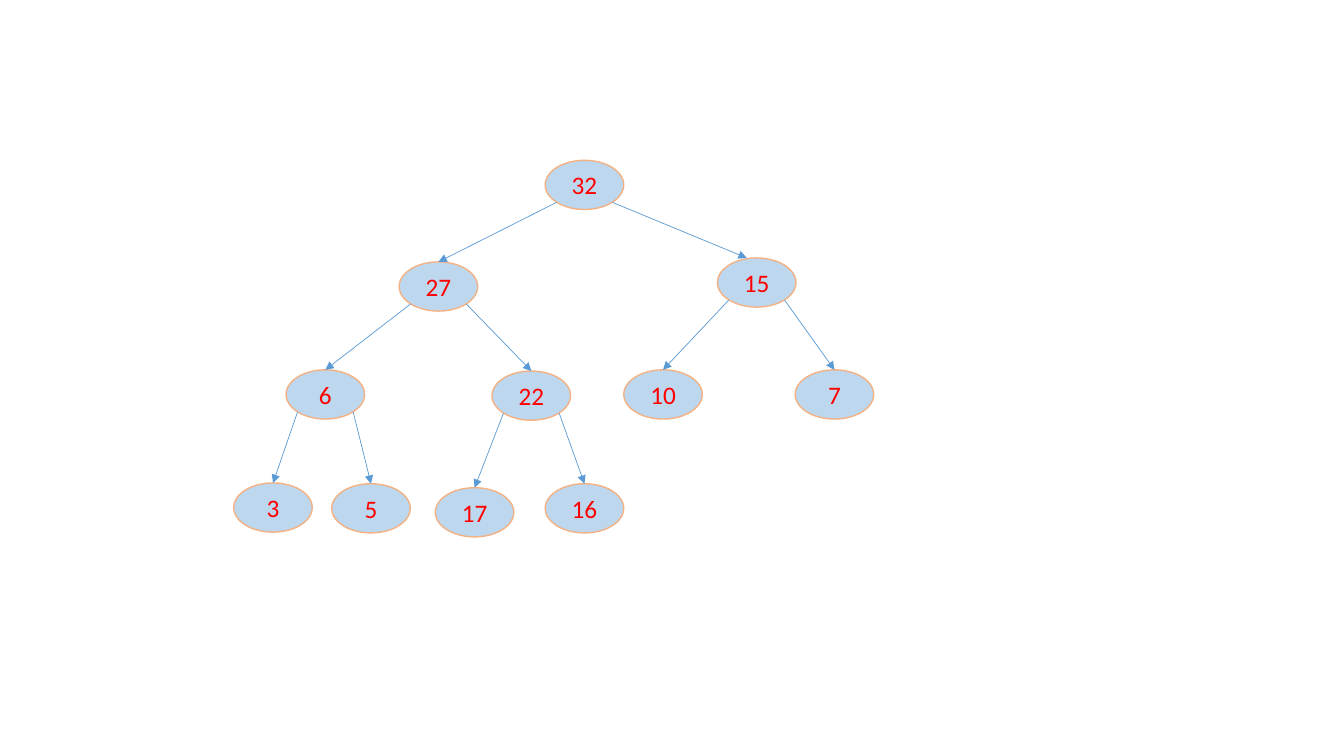
from math import sqrt

from lxml.etree import SubElement
from pptx import Presentation
from pptx.dml.color import RGBColor
from pptx.enum.shapes import MSO_CONNECTOR, MSO_SHAPE
from pptx.enum.text import MSO_ANCHOR, PP_ALIGN
from pptx.oxml.ns import qn
from pptx.util import Cm, Pt

WIDE, HIGH = 1.98, 1.24  # node size in cm

# Heap in array order: value, left, top (cm within the tree's box), shift of arrow tip
HEAP = [
    ("32", 7.85, 0, 0),
    ("27", 4.17, 2.56, 0),
    ("15", 12.19, 2.46, -0.25),
    ("6", 1.32, 5.28, 0),
    ("22", 6.51, 5.31, 0),
    ("10", 9.83, 5.28, 0),
    ("7", 14.15, 5.28, 0),
    ("3", 0, 8.13, 0),
    ("5", 2.47, 8.15, 0),
    ("17", 5.08, 8.25, 0),
    ("16", 7.85, 8.15, 0),
]


def paint(color, code):
    color.rgb = RGBColor.from_string(code)


def add_node(slide, left, top, value):
    node = slide.shapes.add_shape(
        MSO_SHAPE.OVAL, Cm(left), Cm(top), Cm(WIDE), Cm(HIGH))
    node.shadow.inherit = False
    node.fill.solid()
    paint(node.fill.fore_color, "BDD7EE")
    paint(node.line.color, "F4B183")
    node.line.width = Pt(1)
    frame = node.text_frame
    frame.word_wrap = True
    frame.vertical_anchor = MSO_ANCHOR.MIDDLE
    para = frame.paragraphs[0]
    para.alignment = PP_ALIGN.CENTER
    run = para.add_run()
    run.text = value
    run.font.name = "Calibri"
    run.font.size = Pt(18)
    paint(run.font.color, "FF0000")


def add_arrow(slide, start, end):
    arrow = slide.shapes.add_connector(
        MSO_CONNECTOR.STRAIGHT, *map(Cm, start + end))
    paint(arrow.line.color, "5B9BD5")
    arrow.line.width = Pt(0.5)
    props = arrow.element.spPr
    SubElement(props.find(qn("a:ln")), qn("a:tailEnd"), type="triangle")
    SubElement(props, qn("a:effectLst"))


def add_tree(slide, left, top):
    # Nodes
    for value, x, y, _ in HEAP:
        add_node(slide, left + x, top + y, value)

    # Arrows leave a parent at 45 degrees and meet the top of its child
    for spot in range(1, len(HEAP)):
        _, x, y, shift = HEAP[spot]
        _, px, py, _ = HEAP[(spot - 1) // 2]
        side = -1 if spot % 2 else 1
        start = (left + px + WIDE / 2 * (1 + side / sqrt(2)),
                 top + py + HIGH / 2 * (1 + 1 / sqrt(2)))
        end = (left + x + WIDE / 2 + shift, top + y)
        add_arrow(slide, start, end)


def main():
    deck = Presentation()
    deck.slide_width, deck.slide_height = Cm(33.87), Cm(19.05)
    slide = deck.slides.add_slide(deck.slide_layouts[6])
    add_tree(slide, 5.89, 4.04)
    deck.save("out.pptx")


if __name__ == "__main__":
    main()
